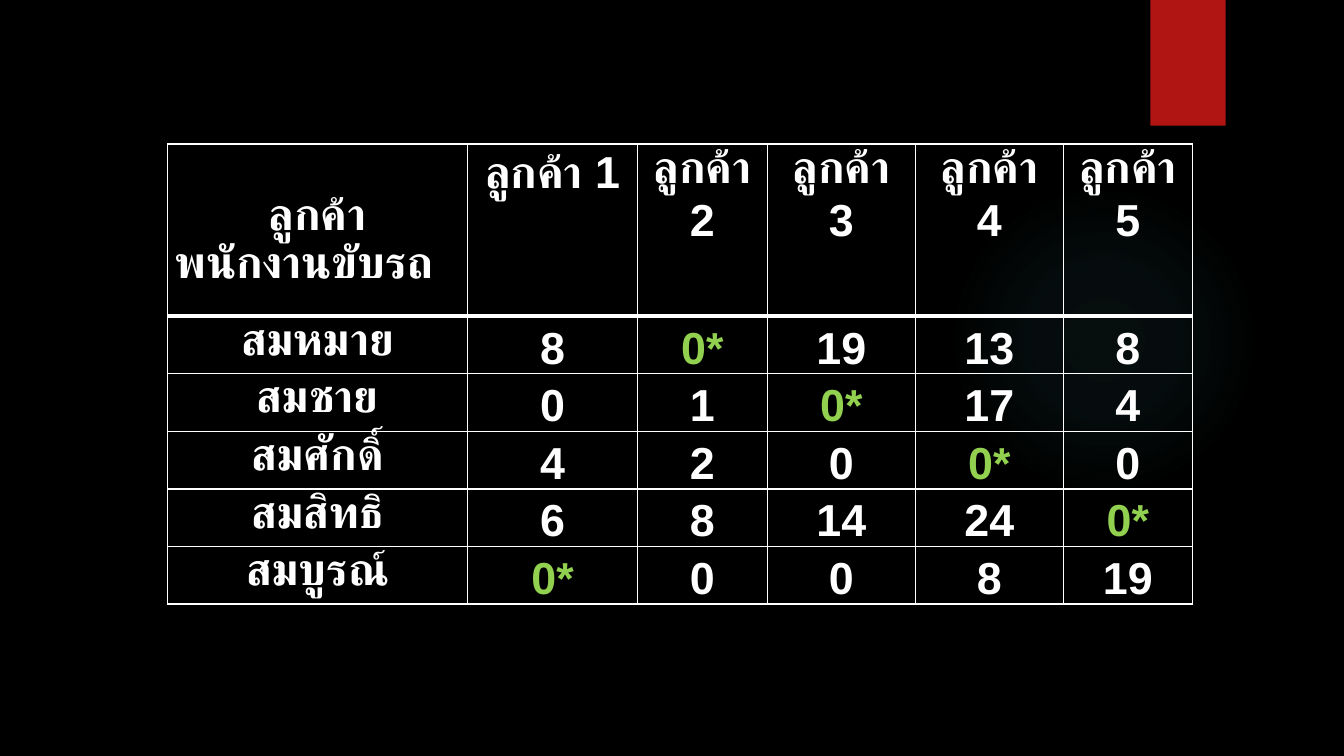
from lxml.etree import SubElement as Sub
from pptx import Presentation
from pptx.dml.color import RGBColor as RGB
from pptx.enum.shapes import MSO_SHAPE as Shape
from pptx.enum.text import MSO_ANCHOR as Anchor, PP_ALIGN as Align
from pptx.oxml.ns import qn
from pptx.util import Cm, Pt

CLIENT = "ลูกค้า"
DRIVER = "พนักงานขับรถ"
COSTS = [
    ("สมหมาย", "8", "0*", "19", "13", "8"),
    ("สมชาย", "0", "1", "0*", "17", "4"),
    ("สมศักดิ์", "4", "2", "0", "0*", "0"),
    ("สมสิทธิ", "6", "8", "14", "24", "0*"),
    ("สมบูรณ์", "0*", "0", "0", "8", "19"),
]
WIDTHS = (7.57, 4.27, 3.28, 3.73, 3.73, 3.25)
HEAD, ROW = 4.34, 1.45
LEFT, TOP = 4.22, 3.63
GLOW = ((0, 7), (36, 6), (69, 0))
THEME = {
    "back": "000000",
    "text": "FFFFFF",
    "pick": "92D050",
    "flag": "B01513",
    "glow": "50B9C1",
    "font": "Arial",
    "size": 32,
}


def tint(name):
    return RGB.from_string(THEME[name])


def block(slide, kind, box):
    shape = slide.shapes.add_shape(kind, *map(Cm, box))
    shape.shadow.inherit = False
    shape.line.fill.background()
    return shape


def add_glow(slide):
    shape = block(slide, Shape.OVAL, (23.9, 4.65, 7.82, 7.82))
    shape.fill.background()
    props = shape.fill._xPr
    old = props.find(qn("a:noFill"))
    grad = old.makeelement(qn("a:gradFill"), {"rotWithShape": "1"})
    props.replace(old, grad)
    stops = Sub(grad, qn("a:gsLst"))
    for pos, alpha in GLOW:
        stop = Sub(stops, qn("a:gs"), pos=str(pos * 1000))
        color = Sub(stop, qn("a:srgbClr"), val=THEME["glow"])
        Sub(color, qn("a:alpha"), val=str(alpha * 1000))
    focus = Sub(grad, qn("a:path"), {"path": "circle"})
    Sub(focus, qn("a:fillToRect"), {side: "50000" for side in "ltrb"})


def edge(cell, base):
    props = cell._tc.get_or_add_tcPr()
    for side, width in (("L", 1), ("R", 1), ("T", 1), ("B", base)):
        line = Sub(props, qn("a:ln" + side), w=str(Pt(width)))
        fill = Sub(line, qn("a:solidFill"))
        Sub(fill, qn("a:srgbClr"), val=THEME["text"])
    cell.fill.background()


def inset(cell, side, top):
    cell.margin_left = cell.margin_right = Cm(side)
    cell.margin_top = Cm(top)
    cell.margin_bottom = Cm(0)


def write(para, text, align=Align.CENTER, space=None):
    para.alignment = align
    if space:
        para.line_spacing = space
    run = para.add_run()
    run.text = text
    font = run.font
    font.name, font.size, font.bold = THEME["font"], Pt(THEME["size"]), True
    font.color.rgb = tint("pick" if text.endswith("*") else "text")


def add_grid(slide):
    heads = ("",) + tuple(f"{CLIENT} {n}" for n in range(1, len(WIDTHS)))
    rows = [heads] + COSTS
    high = HEAD + ROW * len(COSTS)
    box = map(Cm, (LEFT, TOP, sum(WIDTHS), high))
    grid = slide.shapes.add_table(len(rows), len(WIDTHS), *box).table
    for col, width in zip(grid.columns, WIDTHS):
        col.width = Cm(width)
    for r, row in enumerate(rows):
        grid.rows[r].height = Cm(ROW if r else HEAD)
        for c, text in enumerate(row):
            cell = grid.cell(r, c)
            edge(cell, 1 if r else 3)
            para = cell.text_frame.paragraphs[0]
            if r and c:
                inset(cell, 0.03, 0.03)
                cell.vertical_anchor = Anchor.BOTTOM
                write(para, text)
            elif r or c:
                inset(cell, 0.18, 0)
                write(para, text, space=1.07)
            else:
                inset(cell, 0.18, 1.2)
                write(para, CLIENT, space=1.07)
                para = cell.text_frame.add_paragraph()
                write(para, DRIVER, Align.LEFT, 1.07)


def main():
    deck = Presentation()
    deck.slide_width, deck.slide_height = Cm(33.87), Cm(19.05)
    slide = deck.slides.add_slide(deck.slide_layouts[6])
    fill = slide.background.fill
    fill.solid()
    fill.fore_color.rgb = tint("back")
    add_glow(slide)
    flag = block(slide, Shape.RECTANGLE, (28.99, 0, 1.9, 3.17))
    flag.fill.solid()
    flag.fill.fore_color.rgb = tint("flag")
    add_grid(slide)
    deck.save("out.pptx")


if __name__ == "__main__":
    main()
